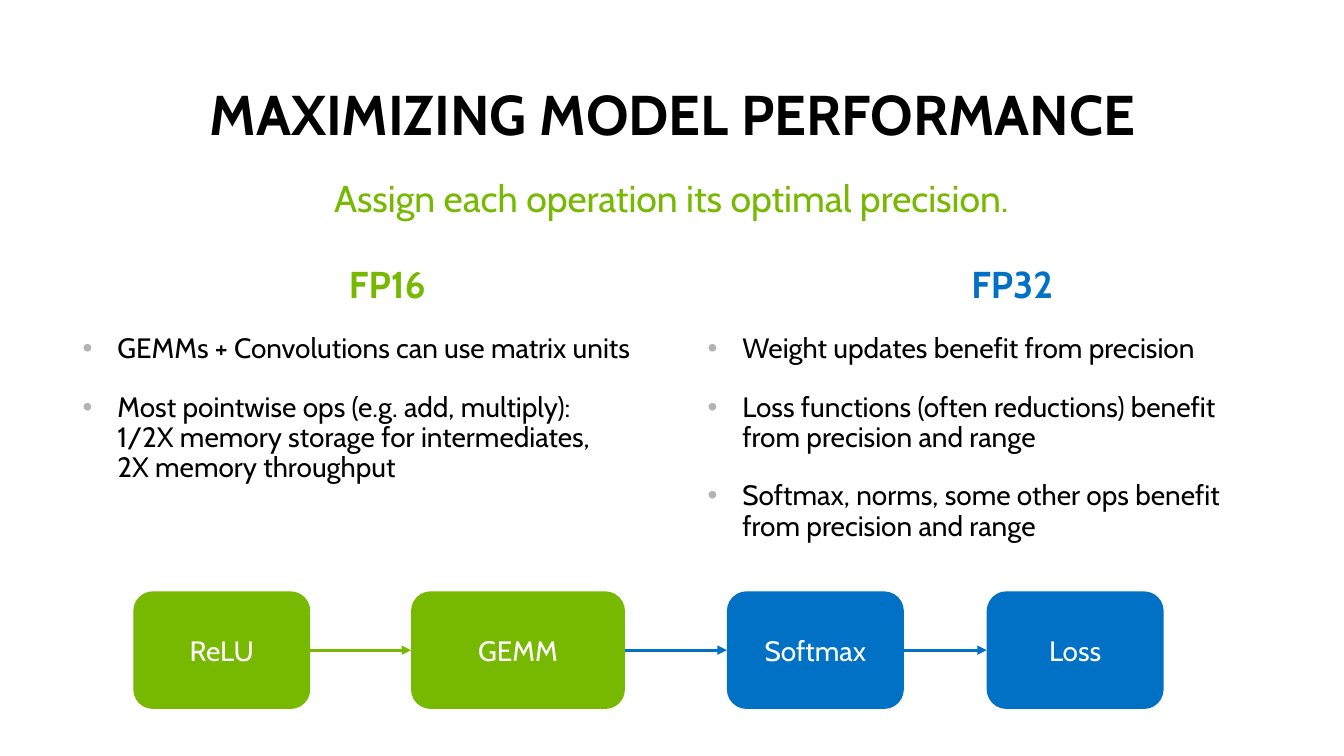
from lxml import etree
from pptx import Presentation
from pptx.dml.color import RGBColor
from pptx.enum.shapes import MSO_CONNECTOR, MSO_SHAPE
from pptx.enum.text import MSO_ANCHOR, PP_ALIGN
from pptx.oxml.ns import qn
from pptx.util import Inches, Pt

ROUND = MSO_SHAPE.ROUNDED_RECTANGLE
LINE = MSO_CONNECTOR.STRAIGHT
CENTER, LEFT = PP_ALIGN.CENTER, PP_ALIGN.LEFT
TOP, MIDDLE, BOTTOM = MSO_ANCHOR.TOP, MSO_ANCHOR.MIDDLE, MSO_ANCHOR.BOTTOM

BLACK = RGBColor(0, 0, 0)
WHITE = RGBColor(255, 255, 255)
GREEN = RGBColor(0x76, 0xB9, 0x00)
BLUE = RGBColor(0x00, 0x71, 0xC5)
GRAY = RGBColor(0xB3, 0xB3, 0xB3)

# The slide is a grid of 48 columns by 27 rows of square cells
WIDE, HIGH = Inches(12), Inches(6.75)
CELL = WIDE // 48

LISTS = [  # column, heading, colour, points
    (2.56, "FP16 ", GREEN, [
        "GEMMs + Convolutions can use matrix units",
        "Most pointwise ops (e.g. add, multiply):\v"
        "1/2X memory storage for intermediates,\v2X memory throughput"]),
    (24.88, "FP32 ", BLUE, [
        "Weight updates benefit from precision",
        "Loss functions (often reductions) benefit\vfrom precision and range",
        "Softmax, norms, some other ops benefit\vfrom precision and range"]),
]
STEPS = [  # label, column, width, colour
    ("ReLU", 4.76, 6.32, GREEN),
    ("GEMM", 14.68, 7.64, GREEN),
    ("Softmax", 25.96, 6.32, BLUE),
    ("Loss", 35.24, 6.32, BLUE),
]


def grid(*cells):
    return [round(n * CELL) for n in cells]


def style(item, **values):
    for name, value in values.items():
        setattr(item, name, value)


def write(para, text, size, color, bold=False, **layout):
    para.text = text
    style(para, **layout)
    for run in para.runs:
        style(run.font, name="Cabin", size=Pt(size), bold=bold)
        run.font.color.rgb = color


def add_box(slide, area, anchor=TOP):
    frame = slide.shapes.add_textbox(*grid(*area)).text_frame
    style(frame, word_wrap=True, vertical_anchor=anchor)
    return frame


def add_dot(para):
    props = para._p.get_or_add_pPr()
    props.set("marL", str(Inches(0.31)))
    props.set("indent", str(-Inches(0.31)))
    tint = etree.SubElement(props, qn("a:buClr"))
    etree.SubElement(tint, qn("a:srgbClr"), val=str(GRAY))
    etree.SubElement(props, qn("a:buFont"), typeface="Arial")
    etree.SubElement(props, qn("a:buChar"), char="•")


def add_list(slide, col, head, color, points):
    frame = add_box(slide, (col, 9.32, 22.84, 17.32))
    write(frame.paragraphs[0], head, 24, color, True,
          alignment=CENTER, line_spacing=0.9, space_after=Pt(9))
    for point in points:
        para = frame.add_paragraph()
        add_dot(para)
        write(para, point, 18, BLACK, alignment=LEFT, line_spacing=0.9,
              space_before=Pt(9), space_after=Pt(9))


def add_step(slide, label, col, width, color):
    step = slide.shapes.add_shape(ROUND, *grid(col, 21.12, width, 4.2))
    step.shadow.inherit = False
    step.fill.solid()
    step.fill.fore_color.rgb = color
    step.line.fill.background()
    step.text_frame.vertical_anchor = MIDDLE
    write(step.text_frame.paragraphs[0], label, 18, WHITE, alignment=CENTER)
    return step


def add_arrow(slide, start, end, color):
    arrow = slide.shapes.add_connector(LINE, 0, 0, 0, 0)
    arrow.begin_connect(start, 3)
    arrow.end_connect(end, 1)
    arrow.line.width = Pt(2)
    arrow.line.color.rgb = color
    etree.SubElement(arrow.line._get_or_add_ln(), qn("a:tailEnd"),
                     type="triangle")
    etree.SubElement(arrow._element.spPr, qn("a:effectLst"))


def main():
    deck = Presentation()
    style(deck, slide_width=WIDE, slide_height=HIGH)
    slide = deck.slides.add_slide(deck.slide_layouts[6])

    # Title and subtitle
    title = add_box(slide, (2.2, 2.88, 43.64, 2.6), BOTTOM)
    write(title.paragraphs[0], "MAXIMIZING MODEL PERFORMANCE", 36, BLACK,
          True, alignment=CENTER, line_spacing=0.9)
    lead = add_box(slide, (5.36, 6.24, 37.24, 2.28))
    write(lead.paragraphs[0], "Assign each operation its optimal precision.",
          24, GREEN, alignment=CENTER, line_spacing=0.9)

    # Two lists side by side
    for column in LISTS:
        add_list(slide, *column)

    # Flow of steps; each arrow takes the colour of the step it leads to
    steps = [add_step(slide, *step) for step in STEPS]
    for start, end, (*_, color) in zip(steps, steps[1:], STEPS[1:]):
        add_arrow(slide, start, end, color)

    deck.save("out.pptx")


if __name__ == "__main__":
    main()
